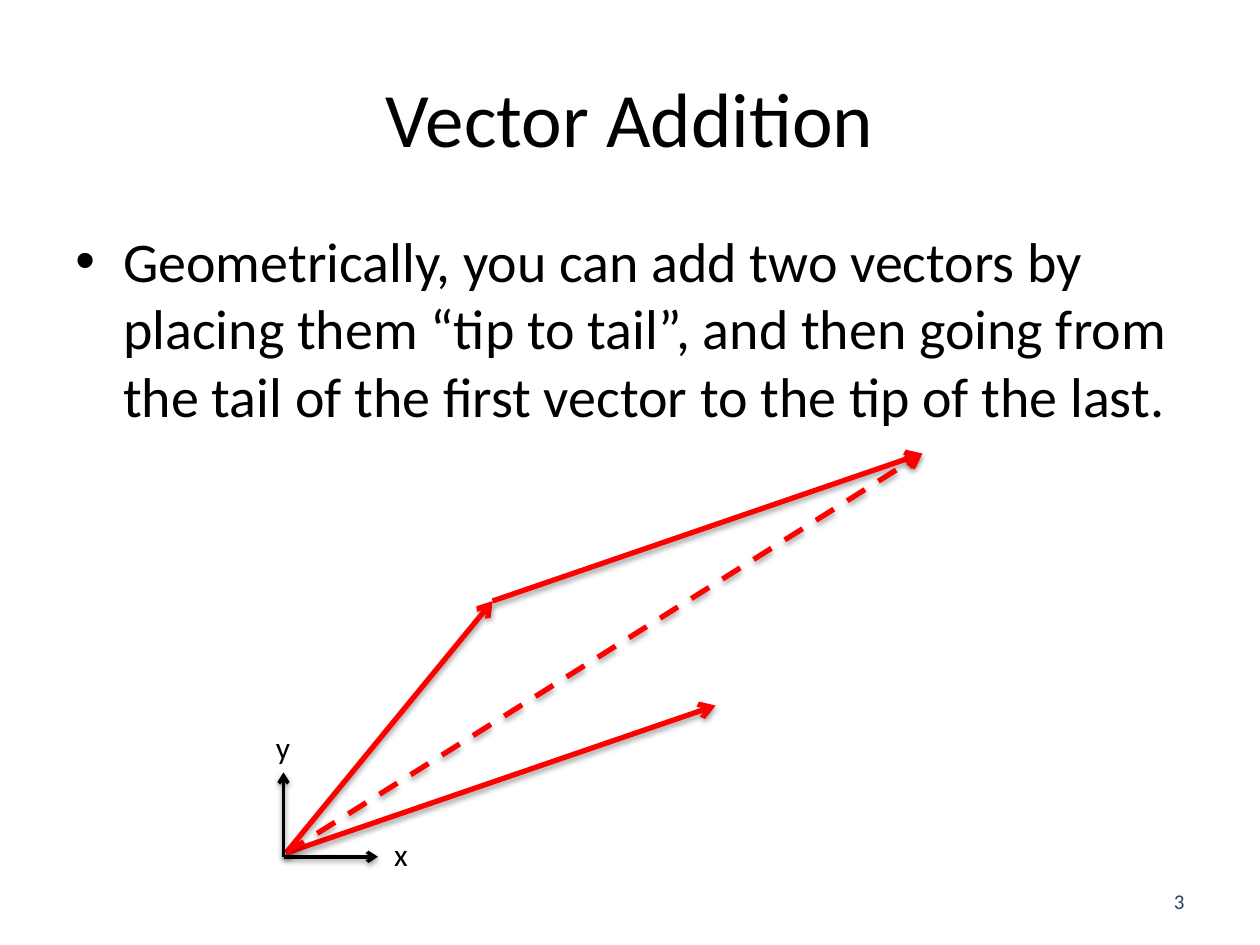
from dataclasses import dataclass

from lxml.etree import SubElement
from pptx import Presentation
from pptx.dml.color import RGBColor
from pptx.enum.dml import MSO_LINE
from pptx.enum.shapes import MSO_CONNECTOR
from pptx.enum.text import MSO_ANCHOR, PP_ALIGN
from pptx.oxml.ns import qn
from pptx.util import Inches, Pt


@dataclass(frozen=True)
class Theme:
    font: str = "Calibri"
    ink: RGBColor = RGBColor(0x00, 0x00, 0x00)
    vector: RGBColor = RGBColor(0xFF, 0x00, 0x00)
    number: RGBColor = RGBColor(0x25, 0x40, 0x61)
    title_size: int = 44
    body_size: int = 32
    label_size: int = 18
    number_size: int = 12
    vector_width: int = 3
    axis_width: int = 2


THEME = Theme()
COLUMNS, ROWS = 100, 75
CELL = Inches(10) // COLUMNS


def cells(*counts):
    """Turn counts of grid cells into lengths."""
    return [round(count * CELL) for count in counts]


def style_text(frame, size, color=THEME.ink, align=PP_ALIGN.LEFT):
    for paragraph in frame.paragraphs:
        paragraph.alignment = align
        for run in paragraph.runs:
            run.font.name = THEME.font
            run.font.size = Pt(size)
            run.font.color.rgb = color


def add_title(slide, text):
    title = slide.shapes.title
    title.left, title.top, title.width, title.height = cells(5, 3, 90, 12.5)
    title.text_frame.text = text
    title.text_frame.vertical_anchor = MSO_ANCHOR.MIDDLE
    style_text(title.text_frame, THEME.title_size, align=PP_ALIGN.CENTER)


def add_text(shapes, text, box, size, wrap=True, **style):
    frame = shapes.add_textbox(*cells(*box)).text_frame
    frame.text = text
    frame.word_wrap = wrap
    style_text(frame, size, **style)
    return frame


def add_bullet(paragraph):
    properties = paragraph._p.get_or_add_pPr()
    indent = Inches(0.38)
    properties.set("marL", str(indent))
    properties.set("indent", str(-indent))
    SubElement(properties, qn("a:buFont"), typeface="Arial")
    SubElement(properties, qn("a:buChar"), char="•")


def add_shadow(connector, opacity, distance):
    """Put a soft black shadow straight below the line."""
    effects = SubElement(connector._element.spPr, qn("a:effectLst"))
    shadow = SubElement(effects, qn("a:outerShdw"), blurRad=str(Pt(3.1)),
                        dist=str(Pt(distance)), dir="5400000", rotWithShape="0")
    black = SubElement(shadow, qn("a:srgbClr"), val="000000")
    SubElement(black, qn("a:alpha"), val=str(opacity * 1000))


def add_arrow(shapes, start, end, color, width, dash=None, opacity=35, distance=1.8):
    arrow = shapes.add_connector(MSO_CONNECTOR.STRAIGHT, *cells(*start, *end))
    arrow.line.color.rgb = color
    arrow.line.width = Pt(width)
    if dash:
        arrow.line.dash_style = dash
    SubElement(arrow.line._get_or_add_ln(), qn("a:tailEnd"), type="arrow")
    add_shadow(arrow, opacity, distance)


def add_vectors(shapes, tail, first, second):
    """Draw both vectors, the second moved to the first's tip, and their sum."""
    def shifted(point, vector):
        return point[0] + vector[0], point[1] + vector[1]

    first_tip = shifted(tail, first)
    sum_tip = shifted(first_tip, second)
    for start, end, dash in (
        (tail, first_tip, None),
        (tail, shifted(tail, second), None),
        (first_tip, sum_tip, None),
        (tail, sum_tip, MSO_LINE.DASH),
    ):
        add_arrow(shapes, start, end, THEME.vector, THEME.vector_width, dash)


def add_axes(slide, corner):
    axes = slide.shapes.add_group_shape().shapes
    x, y = corner
    for end in ((x + 7.5, y), (x, y - 6.7)):
        add_arrow(axes, corner, end, THEME.ink, THEME.axis_width,
                  opacity=38, distance=1.6)
    for name, left, top in (("x", x + 7.8, y - 2.2), ("y", x - 1.6, y - 10.7)):
        add_text(axes, name, (left, top, 3.1, 4), THEME.label_size, wrap=False)


def main():
    presentation = Presentation()
    presentation.slide_width, presentation.slide_height = cells(COLUMNS, ROWS)
    slide = presentation.slides.add_slide(presentation.slide_layouts[5])

    add_title(slide, "Vector Addition")
    explanation = add_text(
        slide.shapes,
        "Geometrically, you can add two vectors by placing them “tip to tail”, "
        "and then going from the tail of the first vector to the tip of the last.",
        (5, 17.5, 90, 18.3), THEME.body_size)
    add_bullet(explanation.paragraphs[0])
    page_number = add_text(slide.shapes, "3", (71.7, 69.5, 23.3, 4), THEME.number_size,
                           color=THEME.number, align=PP_ALIGN.RIGHT)
    page_number.vertical_anchor = MSO_ANCHOR.MIDDLE

    add_vectors(slide.shapes, tail=(22.7, 67.7), first=(16.4, -20), second=(34.1, -11.7))
    add_axes(slide, corner=(22.5, 68))
    presentation.save("out.pptx")


if __name__ == "__main__":
    main()
